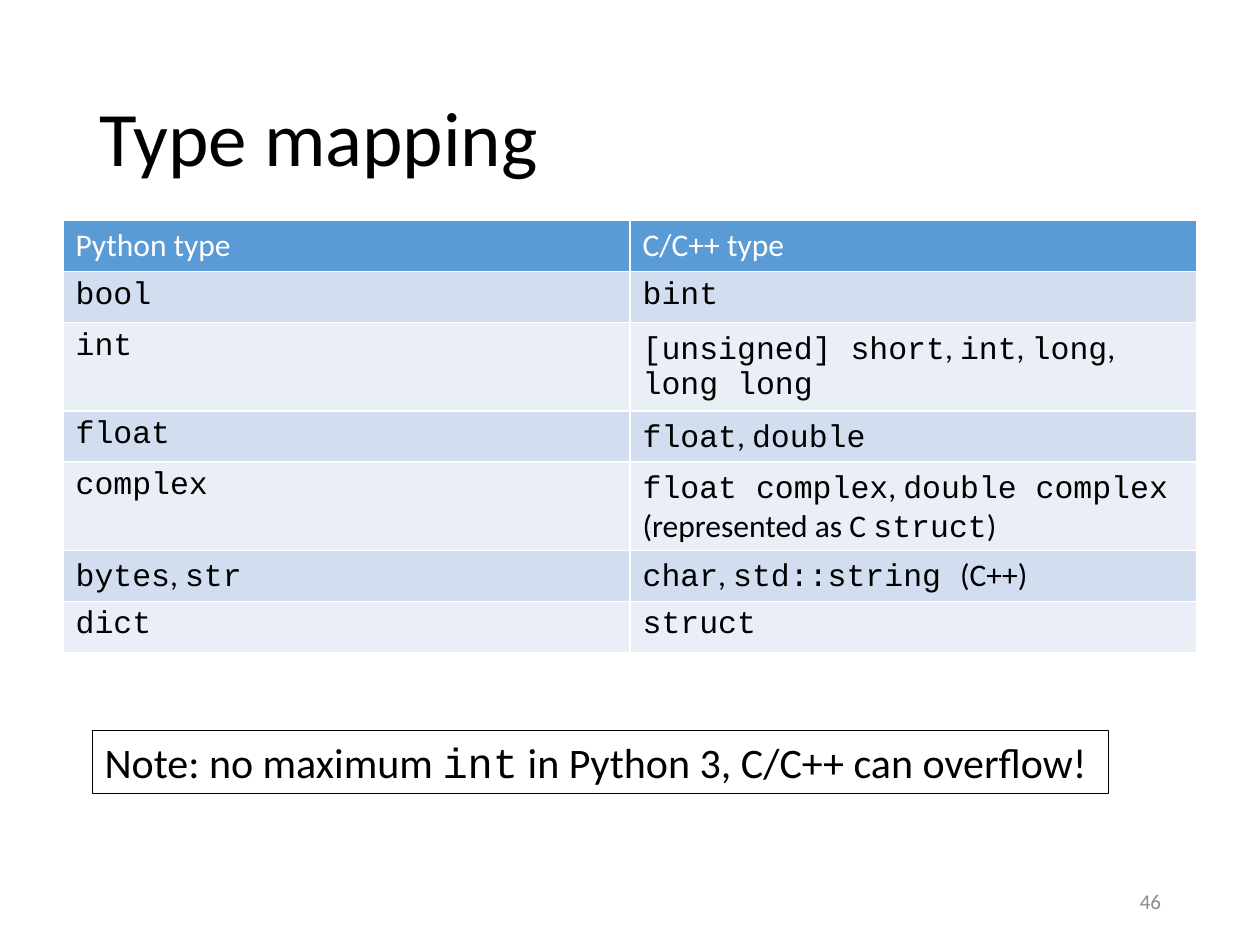
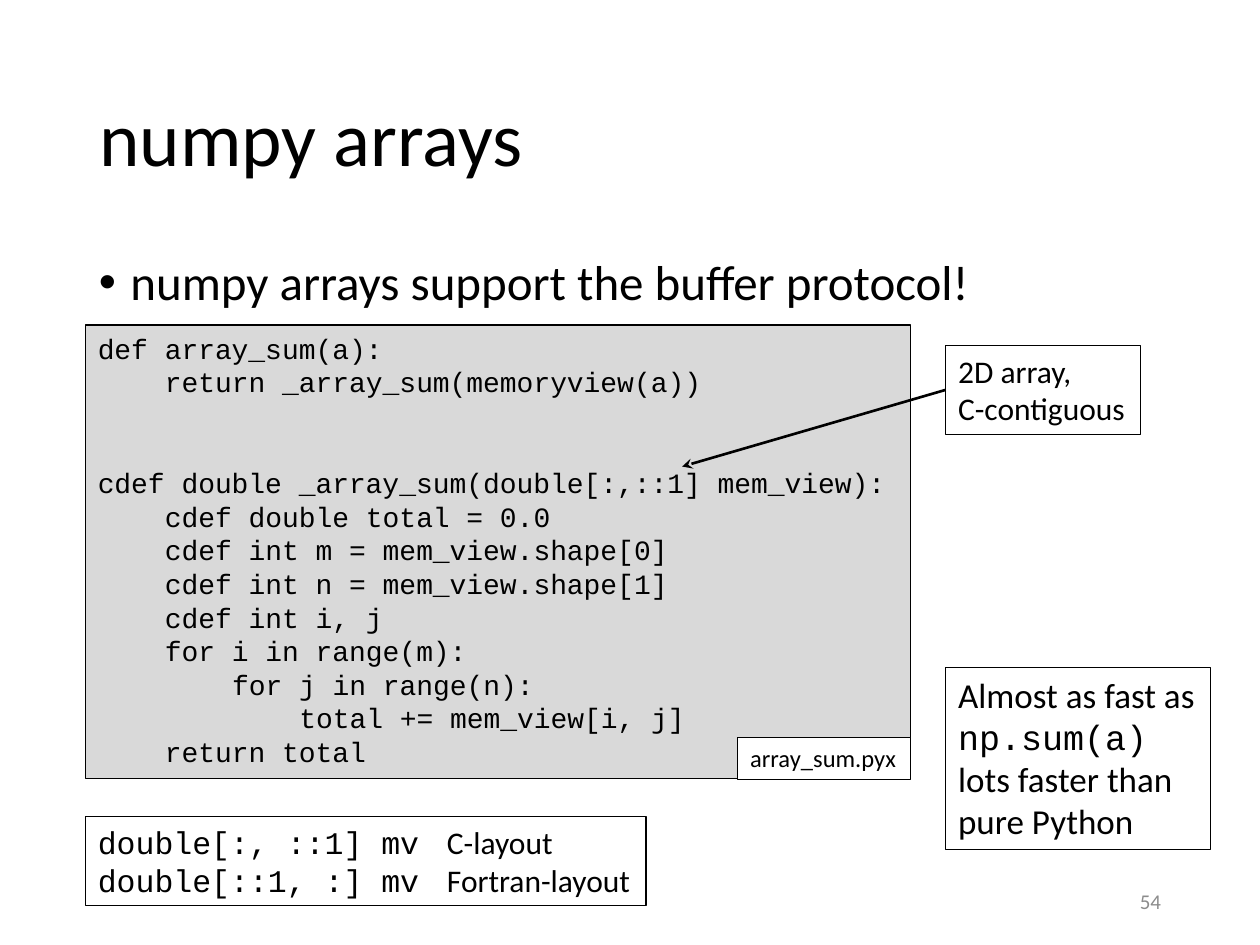
from dataclasses import dataclass

from lxml.etree import SubElement
from pptx import Presentation
from pptx.dml.color import RGBColor
from pptx.enum.shapes import MSO_CONNECTOR, MSO_SHAPE
from pptx.enum.text import MSO_ANCHOR, MSO_AUTO_SIZE, PP_ALIGN
from pptx.oxml.ns import qn
from pptx.util import Pt


@dataclass(frozen=True)
class Theme:
    # Fonts
    sans: str = "Calibri"
    mono: str = "Courier New"
    # Colours
    black: str = "000000"
    white: str = "FFFFFF"
    number: str = "8C8C8C"
    code_fill: str = "D9D9D9"
    header: str = "5B9BD5"
    bands: tuple = ("D2DEEF", "EAEFF7")
    # Type sizes and line widths, in points
    title: int = 44
    bullet: int = 28
    note: int = 24
    remark: int = 20
    label: int = 18
    code: int = 16
    file_name: int = 14
    footer: int = 12
    outline: float = 0.75
    arrow: float = 1.5
    # Code layout, in points
    code_line: float = 19.2
    code_indent: float = 38.4


THEME = Theme()

# Backticks mark text in the code font
TYPE_ROWS = [
    ("Python type", "C/C++ type"),
    ("`bool`", "`bint`"),
    ("`int`", "`[unsigned] short`, `int`, `long`,` long long`"),
    ("`float`", "`float`, `double`"),
    ("`complex`", "`float complex`, `double complex` (represented as C `struct`)"),
    ("`bytes`, `str`", "`char`, `std::string `(C++)"),
    ("`dict`", "`struct`"),
]

# Indent level, empty lines above, code
CODE_LINES = [
    (0, 0, "def array_sum(a):"),
    (1, 0, "return _array_sum(memoryview(a))"),
    (0, 2, "cdef double _array_sum(double[:,::1] mem_view):"),
    (1, 0, "cdef double total = 0.0"),
    (1, 0, "cdef int m = mem_view.shape[0]"),
    (1, 0, "cdef int n = mem_view.shape[1]"),
    (1, 0, "cdef int i, j"),
    (1, 0, "for i in range(m):"),
    (2, 0, "for j in range(n):"),
    (3, 0, "total += mem_view[i, j]"),
    (1, 0, "return total"),
]


def color(value):
    return RGBColor.from_string(value)


def style_span(span, size, tone, font):
    span.font.name = font
    span.font.size = Pt(size)
    span.font.bold = False
    span.font.color.rgb = color(tone)


def write_para(para, text, size, tone=THEME.black, align=PP_ALIGN.LEFT):
    """Fill a paragraph, switching font at backticks and breaking at newlines."""
    para.alignment = align
    for index, piece in enumerate(text.split("`")):
        font = THEME.mono if index % 2 else THEME.sans
        for row, line in enumerate(piece.split("\n")):
            if row:
                para.add_line_break()
            if line:
                span = para.add_run()
                span.text = line
                style_span(span, size, tone, font)


def add_paras(frame, lines, size):
    """Write one paragraph per line and return them."""
    paras = [frame.paragraphs[0]] + [frame.add_paragraph() for _ in lines[1:]]
    for para, line in zip(paras, lines):
        write_para(para, line, size)
    return paras


def add_text(page, place, text, size, tone=THEME.black, align=PP_ALIGN.LEFT,
             anchor=MSO_ANCHOR.TOP):
    box = page.shapes.add_textbox(*map(Pt, place))
    frame = box.text_frame
    frame.word_wrap = True
    frame.vertical_anchor = anchor
    para = frame.paragraphs[0]
    write_para(para, text, size, tone, align)
    return para


def add_page(deck, title, number):
    """Add a slide with its title and page number."""
    page = deck.slides.add_slide(deck.slide_layouts[5])
    head = page.shapes.title
    head.left, head.top, head.width, head.height = map(Pt, (49.5, 28.8, 621, 104.4))
    frame = head.text_frame
    frame.auto_size = MSO_AUTO_SIZE.NONE
    frame.vertical_anchor = MSO_ANCHOR.MIDDLE
    frame.text = title
    para = frame.paragraphs[0]
    para.alignment = PP_ALIGN.LEFT
    para.line_spacing = 0.9
    style_span(para.runs[0], THEME.title, THEME.black, THEME.sans)
    add_text(page, (508.5, 500.5, 162, 28.75), number, THEME.footer,
             THEME.number, PP_ALIGN.RIGHT, MSO_ANCHOR.MIDDLE)
    return page


def add_box(page, place, lines, size, fill=None, wrap=False):
    """Add an outlined rectangle with text and return its paragraphs."""
    box = page.shapes.add_shape(MSO_SHAPE.RECTANGLE, *map(Pt, place))
    box.shadow.inherit = False
    if fill:
        box.fill.solid()
        box.fill.fore_color.rgb = color(fill)
    else:
        box.fill.background()
    box.line.color.rgb = color(THEME.black)
    box.line.width = Pt(THEME.outline)
    frame = box.text_frame
    frame.word_wrap = wrap
    frame.vertical_anchor = MSO_ANCHOR.TOP
    return add_paras(frame, lines, size)


def add_code(page, place, code_lines):
    lines = [f"`{line}`" for _, _, line in code_lines]
    paras = add_box(page, place, lines, THEME.code, THEME.code_fill)
    for para, (level, gap, _) in zip(paras, code_lines):
        para.line_spacing = Pt(THEME.code_line)
        para.space_before = Pt(gap * THEME.code_line)
        set_indent(para, level * THEME.code_indent, 0)


def set_indent(para, margin, first):
    props = para._p.get_or_add_pPr()
    props.set("marL", str(int(Pt(margin))))
    props.set("indent", str(int(Pt(first))))
    return props


def add_bullet(page, place, text):
    para = add_text(page, place, text, THEME.bullet)
    para.line_spacing = 0.9
    para.space_before = Pt(10)
    props = set_indent(para, 18, -18)
    SubElement(props, qn("a:buFont"), typeface="Arial")
    SubElement(props, qn("a:buChar"), char="•")


def set_tab(para, position):
    tabs = SubElement(para._p.get_or_add_pPr(), qn("a:tabLst"))
    SubElement(tabs, qn("a:tab"), pos=str(int(Pt(position))), algn="l")


def add_arrow(page, start, end):
    arrow = page.shapes.add_connector(MSO_CONNECTOR.STRAIGHT, *map(Pt, start + end))
    arrow.line.color.rgb = color(THEME.black)
    arrow.line.width = Pt(THEME.arrow)
    SubElement(arrow.line._get_or_add_ln(), qn("a:tailEnd"), type="stealth")
    SubElement(arrow._element.spPr, qn("a:effectLst"))


def add_type_table(page, left, top, column_width, row_height, rows):
    columns = len(rows[0])
    table = page.shapes.add_table(
        len(rows), columns, Pt(left), Pt(top),
        Pt(columns * column_width), Pt(len(rows) * row_height)).table
    for column in table.columns:
        column.width = Pt(column_width)
    for r, texts in enumerate(rows):
        table.rows[r].height = Pt(row_height)
        fill = THEME.bands[(r - 1) % 2] if r else THEME.header
        tone = THEME.black if r else THEME.white
        for c, text in enumerate(texts):
            cell = table.cell(r, c)
            cell.fill.solid()
            cell.fill.fore_color.rgb = color(fill)
            write_para(cell.text_frame.paragraphs[0], text, THEME.label, tone)


def build_type_mapping(deck):
    page = add_page(deck, "Type mapping", "46")
    add_type_table(page, 36, 126, 324, 29.2, TYPE_ROWS)
    add_box(page, (52.7, 417.3, 581, 36.4),
            ["Note: no maximum `int` in Python 3, C/C++ can overflow!"], THEME.note)


def build_numpy_arrays(deck):
    page = add_page(deck, "numpy arrays", "54")
    add_bullet(page, (49.5, 144, 621, 342.6),
               "numpy arrays support the buffer protocol!")

    # Code listing with its file name
    add_code(page, (48.8, 185.8, 471.4, 259.2), CODE_LINES)
    add_box(page, (421.6, 421.3, 98.7, 24.2), ["array_sum.pyx"],
            THEME.file_name, THEME.white)

    # Remarks on the right
    add_box(page, (540.4, 381.4, 151.5, 104.2),
            ["Almost as fast as\n`np.sum(a)\n`lots faster than\npure Python"],
            THEME.remark, THEME.white)
    add_box(page, (540.4, 197.4, 111.2, 50.9), ["2D array,\nC-contiguous"],
            THEME.label, THEME.white)
    add_arrow(page, (540.4, 222.8), (389.8, 266.6))

    # Memory layouts
    layouts = add_box(page, (48.8, 466.6, 320.4, 50.9),
                      ["`double[:, ::1] mv`\tC-layout",
                       "`double[::1, :] mv`\tFortran-layout"],
                      THEME.label, wrap=True)
    for para in layouts:
        set_tab(para, 199.5)


def main():
    deck = Presentation()
    deck.slide_width, deck.slide_height = Pt(720), Pt(540)
    build_type_mapping(deck)
    build_numpy_arrays(deck)
    deck.save("out.pptx")


if __name__ == "__main__":
    main()
